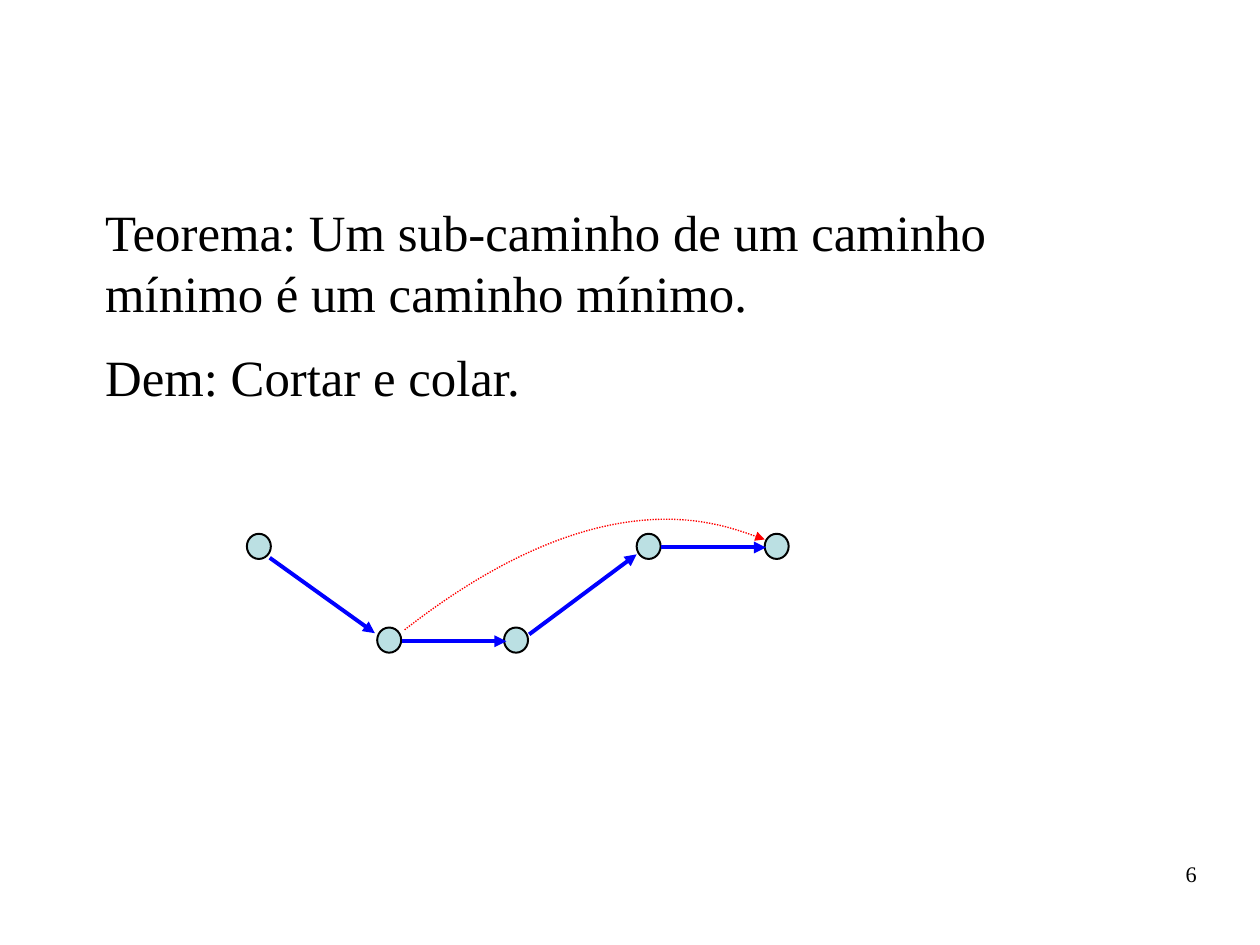
from lxml import etree
from pptx import Presentation
from pptx.dml.color import RGBColor
from pptx.enum.dml import MSO_LINE
from pptx.enum.shapes import MSO_CONNECTOR, MSO_SHAPE
from pptx.enum.text import PP_ALIGN
from pptx.oxml.ns import qn
from pptx.util import Inches, Pt

STRAIGHT = MSO_CONNECTOR.STRAIGHT
OVAL = MSO_SHAPE.OVAL
DOTTED = MSO_LINE.ROUND_DOT
LEFT, RIGHT = PP_ALIGN.LEFT, PP_ALIGN.RIGHT

CM_PER_INCH = 2.54
SLIDE_WIDTH_CM, SLIDE_HEIGHT_CM = 28, 21
FONT = "Times New Roman"
BLACK, BLUE, RED, NODE_FILL = "000000", "0000FF", "FF0000", "BBE0E3"
NODE_SIZE = (0.21, 0.22)
UPPER, LOWER = 4.67, 5.49
NODES = [(2.16, UPPER), (3.3, LOWER), (4.41, LOWER), (5.57, UPPER), (6.69, UPPER)]
PATH_EDGES = [
    ((2.36, 4.88), (3.28, 5.54)),
    ((3.52, 5.61), (4.43, 5.61)),
    ((4.63, 5.55), (5.57, 4.85)),
    ((5.78, 4.79), (6.7, 4.79)),
]
SHORTCUT = [(3.54, 5.51), (5.31, 4.13), (6.69, 4.72), (6.69, 4.72)]
STATEMENTS = [
    ("Teorema: Um sub-caminho de um caminho mínimo é um caminho mínimo.", 1.01),
    ("Dem: Cortar e colar.", 1.16),
]


def color(value):
    return RGBColor.from_string(value)


def style_line(line, line_color, width):
    line.color.rgb = color(line_color)
    line.width = Pt(width)


def add_arrowhead(shape):
    outline = shape.line._get_or_add_ln()
    etree.SubElement(outline, qn("a:tailEnd"), type="triangle")


def add_text(slide, box, paragraphs, size, alignment=LEFT, space_before=0):
    frame = slide.shapes.add_textbox(*map(Inches, box)).text_frame
    frame.word_wrap = True
    frame.margin_left = frame.margin_right = 0
    frame.margin_top = frame.margin_bottom = 0
    for index, (text, spacing) in enumerate(paragraphs):
        paragraph = frame.add_paragraph() if index else frame.paragraphs[0]
        paragraph.text = text
        paragraph.alignment = alignment
        paragraph.line_spacing = spacing
        paragraph.space_before = Pt(space_before)
        paragraph.font.name = FONT
        paragraph.font.size = Pt(size)
        paragraph.font.color.rgb = color(BLACK)


def add_node(slide, position):
    node = slide.shapes.add_shape(OVAL, *map(Inches, position + NODE_SIZE))
    node.shadow.inherit = False
    node.fill.solid()
    node.fill.fore_color.rgb = color(NODE_FILL)
    style_line(node.line, BLACK, 1.25)


def add_edge(slide, start, end):
    edge = slide.shapes.add_connector(STRAIGHT, *map(Inches, start + end))
    style_line(edge.line, BLUE, 2.49)
    add_arrowhead(edge)
    etree.SubElement(edge._element.spPr, qn("a:effectLst"))


def add_shortcut(slide, points):
    start, *controls = [tuple(map(Inches, point)) for point in points]
    builder = slide.shapes.build_freeform(*start)
    builder.add_line_segments(controls, close=False)
    shortcut = builder.convert_to_shape()
    outline = shortcut._element.find(".//" + qn("a:path"))
    curve = etree.SubElement(outline, qn("a:cubicBezTo"))
    for segment in outline.findall(qn("a:lnTo")):
        curve.append(segment[0])
        outline.remove(segment)
    shortcut.shadow.inherit = False
    shortcut.fill.background()
    style_line(shortcut.line, RED, 0.85)
    shortcut.line.dash_style = DOTTED
    add_arrowhead(shortcut)


def main():
    presentation = Presentation()
    presentation.slide_width = Inches(SLIDE_WIDTH_CM / CM_PER_INCH)
    presentation.slide_height = Inches(SLIDE_HEIGHT_CM / CM_PER_INCH)
    slide = presentation.slides.add_slide(presentation.slide_layouts[6])
    add_text(slide, (0.92, 1.75, 8.72, 4.51), STATEMENTS, 32, space_before=8)
    for position in NODES:
        add_node(slide, position)
    for start, end in PATH_EDGES:
        add_edge(slide, start, end)
    add_shortcut(slide, SHORTCUT)
    add_text(slide, (7.9, 7.53, 2.57, 0.57), [("6", 1.0)], 14, RIGHT)
    presentation.save("out.pptx")


main()
